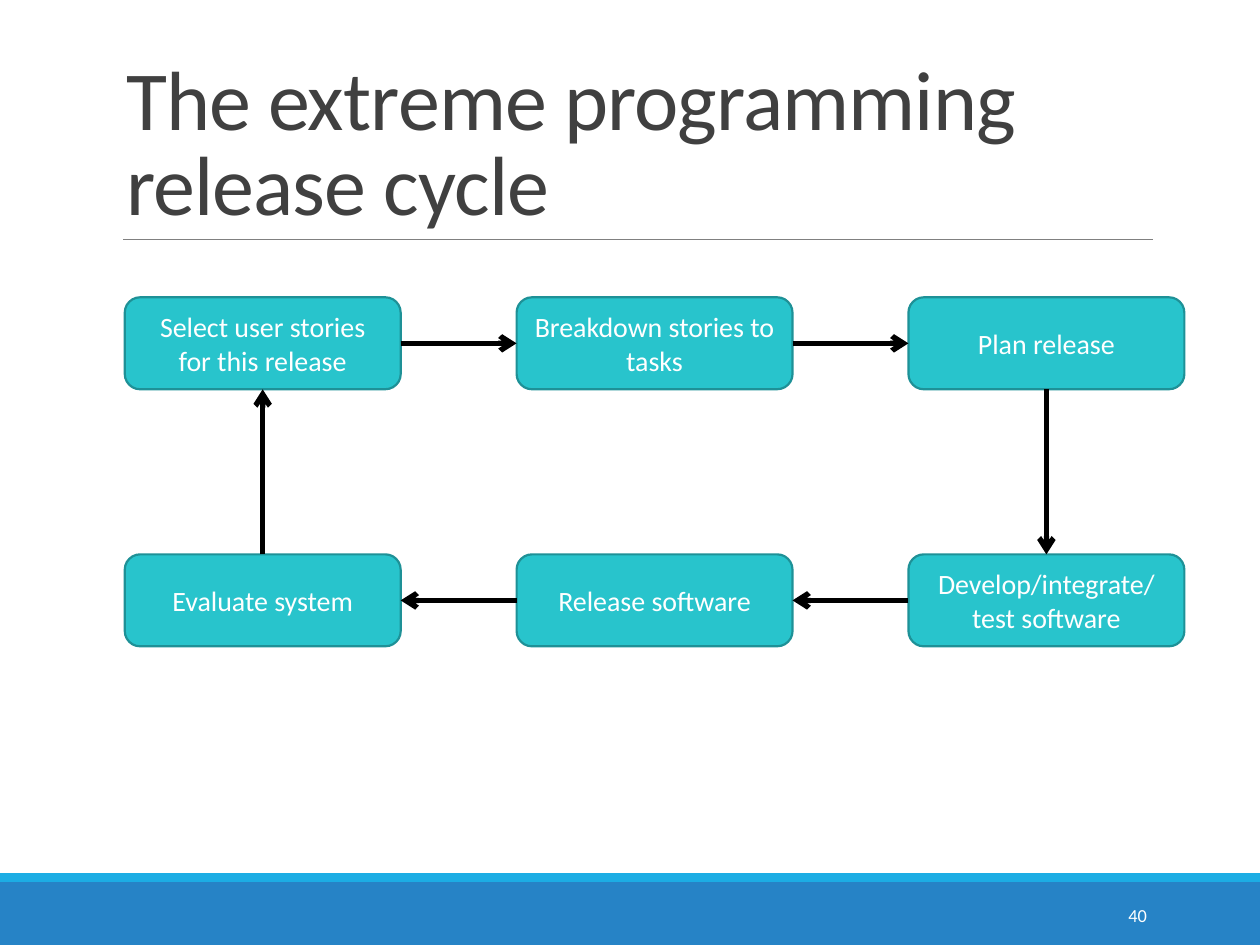
import pptx
import pptx.util
from pptx.dml.color import RGBColor
from pptx.enum.shapes import MSO_CONNECTOR, MSO_SHAPE
from pptx.enum.text import MSO_ANCHOR, MSO_AUTO_SIZE, PP_ALIGN
from pptx.oxml.ns import qn
from pptx.util import Inches, Pt
from lxml import etree

TITLE = "The extreme programming release cycle"
PAGE_NUMBER = "40"
TOP, LEFT, BOTTOM, RIGHT = range(4)
# step, column, row, side the arrow leaves, side the arrow enters on the next step
STEPS = [
    ("Select user stories for this release", 0, 0, RIGHT, LEFT),
    ("Breakdown stories to tasks", 1, 0, RIGHT, LEFT),
    ("Plan release", 2, 0, BOTTOM, TOP),
    ("Develop/integrate/ test software", 2, 1, LEFT, RIGHT),
    ("Release software", 1, 1, LEFT, RIGHT),
    ("Evaluate system", 0, 1, TOP, BOTTOM),
]

BLUE = RGBColor(0x26, 0x83, 0xC6)
SKY = RGBColor(0x1C, 0xAD, 0xE4)
TEAL = RGBColor(0x28, 0xC4, 0xCC)
DARK_TEAL = RGBColor(0x1E, 0x91, 0x97)
GRAY = RGBColor(0x80, 0x80, 0x80)
CHARCOAL = RGBColor(0x40, 0x40, 0x40)
BLACK = RGBColor(0, 0, 0)
WHITE = RGBColor(0xFF, 0xFF, 0xFF)

GRID_LEFT, GRID_TOP = 0.99, 2.36
COLUMN_STEP, ROW_STEP = 3.11, 2.04
STEP_WIDTH, STEP_HEIGHT = 2.19, 0.73


def write(shape, text, size, color, align, anchor):
    frame = shape.text_frame
    frame.word_wrap = True
    frame.auto_size = MSO_AUTO_SIZE.NONE
    frame.vertical_anchor = anchor
    para = frame.paragraphs[0]
    para.alignment = align
    span = para.add_run()
    span.text = text
    span.font.color.rgb = color
    for name, value in {"name": "Calibri", "size": Pt(size)}.items():
        setattr(span.font, name, value)
    return para, span


def add_block(page, kind, place, fill, line=None):
    block = page.shapes.add_shape(kind, *map(Inches, place))
    block.shadow.inherit = False
    block.fill.solid()
    block.fill.fore_color.rgb = fill
    if line is None:
        block.line.fill.background()
    else:
        block.line.color.rgb = line
        block.line.width = Pt(1.25)
    return block


def add_line(page, start, end, color, width):
    line = page.shapes.add_connector(
        MSO_CONNECTOR.STRAIGHT, *map(Inches, (*start, *end)))
    line.line.color.rgb = color
    line.line.width = Pt(width)
    etree.SubElement(line._element.spPr, qn("a:effectLst"))
    return line


def add_step(page, text, column, row):
    place = (GRID_LEFT + column * COLUMN_STEP, GRID_TOP + row * ROW_STEP,
             STEP_WIDTH, STEP_HEIGHT)
    step = add_block(page, MSO_SHAPE.ROUNDED_RECTANGLE, place, TEAL, DARK_TEAL)
    write(step, text, 16, WHITE, PP_ALIGN.CENTER, MSO_ANCHOR.MIDDLE)
    return step


def add_arrow(page, source, leave, target, enter):
    arrow = add_line(page, (0, 0), (0, 0), BLACK, 3)
    arrow.begin_connect(source, leave)
    arrow.end_connect(target, enter)
    etree.SubElement(arrow.line._get_or_add_ln(), qn("a:tailEnd"), type="arrow")


def main():
    deck = pptx.Presentation()
    deck.slide_width, deck.slide_height = Inches(10), Inches(7.5)
    page = deck.slides.add_slide(deck.slide_layouts[5])

    add_block(page, MSO_SHAPE.RECTANGLE, (0, 7, 10, 0.5), BLUE)
    add_block(page, MSO_SHAPE.RECTANGLE, (0, 6.93, 10, 0.07), SKY)
    add_line(page, (0.98, 1.9), (9.15, 1.9), GRAY, 0.5)

    title = page.shapes.title
    title.left, title.top, title.width, title.height = map(
        Inches, (0.9, 0.31, 8.25, 1.59))
    para, span = write(title, TITLE, 48, CHARCOAL, PP_ALIGN.LEFT, MSO_ANCHOR.BOTTOM)
    para.line_spacing = 0.85
    span.font._element.set("spc", "-50")

    steps = [add_step(page, *step[:3]) for step in STEPS]
    for index, (*_, leave, enter) in enumerate(STEPS):
        target = steps[(index + 1) % len(steps)]
        add_arrow(page, steps[index], leave, target, enter)

    number = page.shapes.add_textbox(*map(Inches, (8.12, 7.06, 1.08, 0.4)))
    write(number, PAGE_NUMBER, 10.5, WHITE, PP_ALIGN.RIGHT, MSO_ANCHOR.MIDDLE)

    deck.save("out.pptx")


if __name__ == "__main__":
    main()
